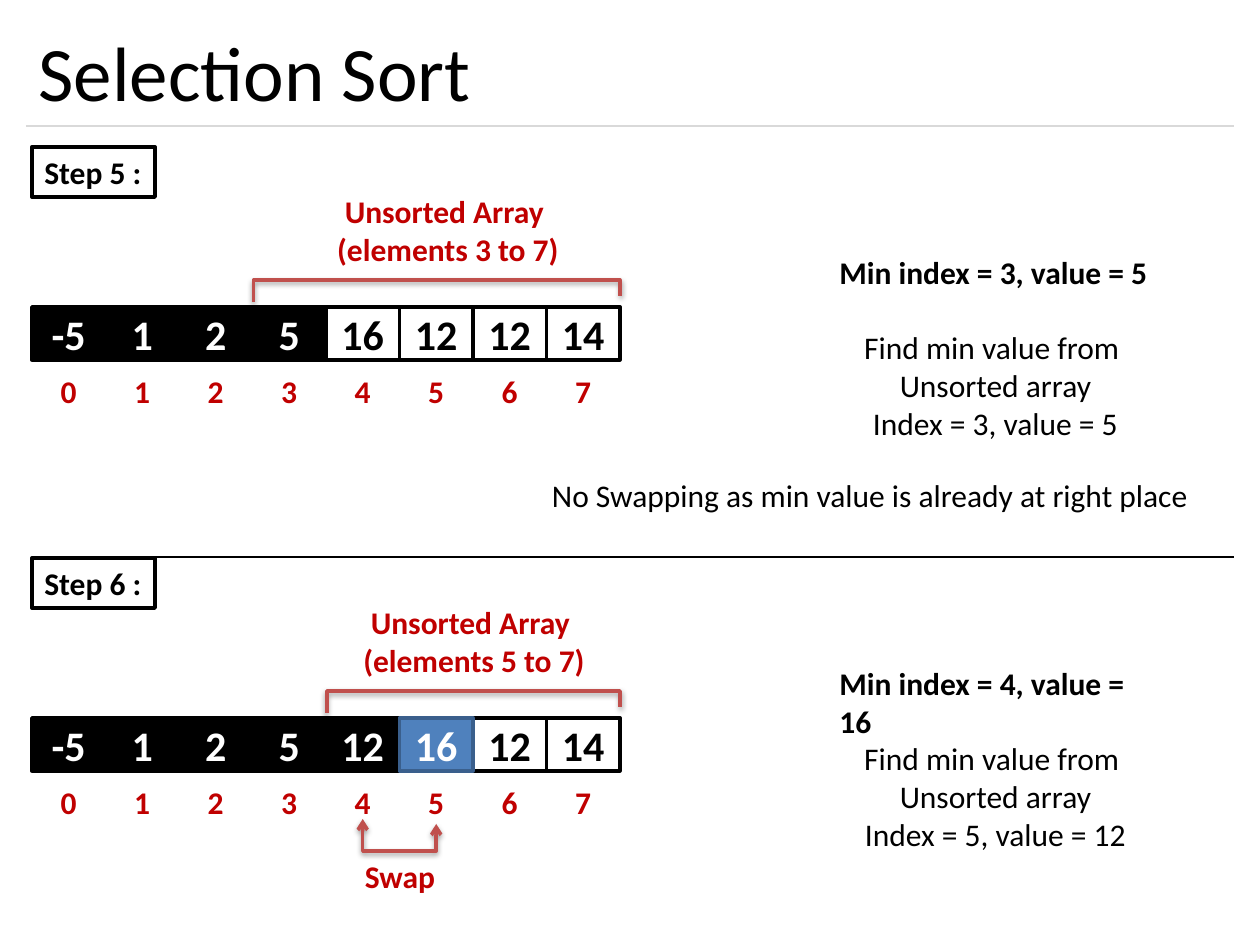
import lxml.etree
import pptx
import pptx.dml.color
import pptx.enum.shapes
import pptx.enum.text
import pptx.oxml.ns
import pptx.util

PX = 914400 / 126
FONT = "Calibri"
COLORS = {
    "black": "000000",
    "white": "FFFFFF",
    "red": "C00000",
    "bracket": "C0504D",
    "blue": "4F81BD",
    "blue_edge": "3A5F8C",
    "rule": "D9D9D9",
}
ALIGN = pptx.enum.text.PP_ALIGN
ANCHOR = pptx.enum.text.MSO_ANCHOR
LEFT, WIDTH, RIGHT = 32, 588, 1234
CELL_HEIGHT = 53


def emu(pixels):
    """Turn pixels into EMU."""
    return pptx.util.Emu(round(pixels * PX))


def rgb(name):
    """Look up a named colour."""
    return pptx.dml.color.RGBColor.from_string(COLORS[name])


def add_element(parent, tag, **attributes):
    """Append a drawing element to its parent."""
    element = lxml.etree.SubElement(parent, pptx.oxml.ns.qn(tag))
    for key, value in attributes.items():
        element.set(key, value)
    return element


def write(shape, text, size, color, bold=False, align=ALIGN.CENTER):
    """Fill a shape with text and format its runs."""
    shape.text_frame.text = text
    for paragraph in shape.text_frame.paragraphs:
        paragraph.alignment = align
        for run in paragraph.runs:
            run.font.name = FONT
            run.font.size = pptx.util.Pt(size)
            run.font.bold = bold
            run.font.color.rgb = rgb(color)


def fit(shape, wrap=False):
    """Let the shape grow with its text."""
    shape.text_frame.word_wrap = wrap
    shape.text_frame.auto_size = pptx.enum.text.MSO_AUTO_SIZE.SHAPE_TO_FIT_TEXT


def add_label(slide, box, text, color="black", bold=False, align=ALIGN.CENTER, wrap=False):
    """Add a text box of 18 point text."""
    shape = slide.shapes.add_textbox(*map(emu, box))
    write(shape, text, 18, color, bold, align)
    fit(shape, wrap)


def add_box(slide, box, fill=None, line=None, line_width=2):
    """Add a flat rectangle."""
    shape = slide.shapes.add_shape(pptx.enum.shapes.MSO_SHAPE.RECTANGLE, *map(emu, box))
    shape.shadow.inherit = False
    if fill:
        shape.fill.solid()
        shape.fill.fore_color.rgb = rgb(fill)
    else:
        shape.fill.background()
    if line:
        shape.line.color.rgb = rgb(line)
        shape.line.width = pptx.util.Pt(line_width)
    else:
        shape.line.fill.background()
    shape.text_frame.vertical_anchor = ANCHOR.MIDDLE
    return shape


def add_rule(slide, left, y, color):
    """Add a thin horizontal line to the right margin."""
    connector = slide.shapes.add_connector(
        pptx.enum.shapes.MSO_CONNECTOR.STRAIGHT, emu(left), emu(y), emu(RIGHT), emu(y)
    )
    connector.line.color.rgb = rgb(color)
    connector.line.width = pptx.util.Pt(0.75)
    add_element(connector._element.spPr, "a:effectLst")


def add_bracket(slide, points, arrows=False):
    """Add an open shadowed outline through the points."""
    corners = [(emu(x), emu(y)) for x, y in points]
    builder = slide.shapes.build_freeform(*corners[0])
    builder.add_line_segments(corners[1:], close=False)
    shape = builder.convert_to_shape()
    shape.fill.background()
    shape.line.color.rgb = rgb("bracket")
    shape.line.width = pptx.util.Pt(2)
    shape.shadow.inherit = False
    properties = shape._element.spPr
    if arrows:
        outline = properties.find(pptx.oxml.ns.qn("a:ln"))
        add_element(outline, "a:headEnd", type="arrow")
        add_element(outline, "a:tailEnd", type="arrow")
    effects = properties.find(pptx.oxml.ns.qn("a:effectLst"))
    shadow = add_element(
        effects, "a:outerShdw", blurRad="40000", dist="20000", dir="5400000", rotWithShape="0"
    )
    shadow_color = add_element(shadow, "a:srgbClr", val=COLORS["black"])
    add_element(shadow_color, "a:alpha", val="38000")


def add_title(slide, box, text):
    """Place the title and the line below it."""
    title = slide.shapes.title
    title.left, title.top, title.width, title.height = map(emu, box)
    write(title, text, 44, "black", align=ALIGN.LEFT)
    title.text_frame.vertical_anchor = ANCHOR.MIDDLE
    add_rule(slide, box[0], box[1] + box[3], "rule")


def add_array(slide, box, values, sorted_count, minimum=None):
    """Draw the array cells with their indices below."""
    left, top, width, height = box
    step = width / len(values)
    for index in range(len(values)):
        cell = add_box(slide, (left + index * step, top + 57, step, height), "white")
        write(cell, str(index), 18, "red", True)
    for index in sorted(range(len(values)), key=lambda position: position == minimum):
        fill, line, color = "white", "black", "black"
        if index < sorted_count:
            fill, color = "black", "white"
        elif index == minimum:
            fill, line, color = "blue", "blue_edge", "white"
        cell = add_box(slide, (left + index * step, top, step, height), fill, line)
        write(cell, str(values[index]), 24, color, True)


def add_step(slide, box, name, values, sorted_count, start, caption, caption_left,
             current, found, minimum=None):
    """Draw one step of the sort inside its box."""
    left, top, width = box
    step = width / len(values)
    right = left + width
    tag = add_box(slide, (left, top, 123, 50), line="black", line_width=2.25)
    tag.text_frame.vertical_anchor = ANCHOR.TOP
    write(tag, name, 18, "black", True, ALIGN.LEFT)
    fit(tag)
    add_array(slide, (left, top + 160, width, CELL_HEIGHT), values, sorted_count, minimum)
    edge = left + start * step + 1
    add_bracket(slide, [(edge, top + 155), (edge, top + 133),
                        (right, top + 133), (right, top + 149)])
    add_label(slide, (left + caption_left, top + 39, 248, 89),
              f"Unsorted Array \n(elements {caption} to 7)", "red", True)
    add_label(slide, (left + 795, top + 100, 336, 50), current, bold=True, align=ALIGN.LEFT)
    add_label(slide, (left + 818, top + 175, 291, 127),
              f"Find min value from \nUnsorted array\n{found}")


def add_swap(slide, box, first, second):
    """Draw the double arrow and label for a swap of two cells."""
    left, top, width = box
    start, end = (left + (index + 0.5) * width / 8 for index in (first, second))
    add_bracket(slide, [(start, top), (start, top + 32), (end, top + 32), (end, top + 5)], True)
    add_label(slide, ((start + end) / 2 - 62, top + 32, 125, 50), "Swap", "red", True, wrap=True)


def main():
    """Build and save the slide."""
    presentation = pptx.Presentation()
    presentation.slide_width, presentation.slide_height = emu(1260), emu(945)
    slide = presentation.slides.add_slide(presentation.slide_layouts[5])
    add_title(slide, (26, 15, 1208, 111), "Selection Sort")
    add_step(slide, (LEFT, 147, WIDTH), "Step 5 :", [-5, 1, 2, 5, 16, 12, 12, 14], 4, 3,
             3, 292, "Min index = 3, value = 5", "Index = 3, value = 5")
    add_label(slide, (535, 470, 677, 50), "No Swapping as min value is already at right place ")
    add_rule(slide, LEFT, 557, "black")
    add_step(slide, (LEFT, 558, WIDTH), "Step 6 :", [-5, 1, 2, 5, 12, 16, 12, 14], 5, 4,
             5, 318, "Min index = 4, value = 16", "Index = 5, value = 12", 5)
    add_swap(slide, (LEFT, 819, WIDTH), 4, 5)
    presentation.save("out.pptx")


if __name__ == "__main__":
    main()
